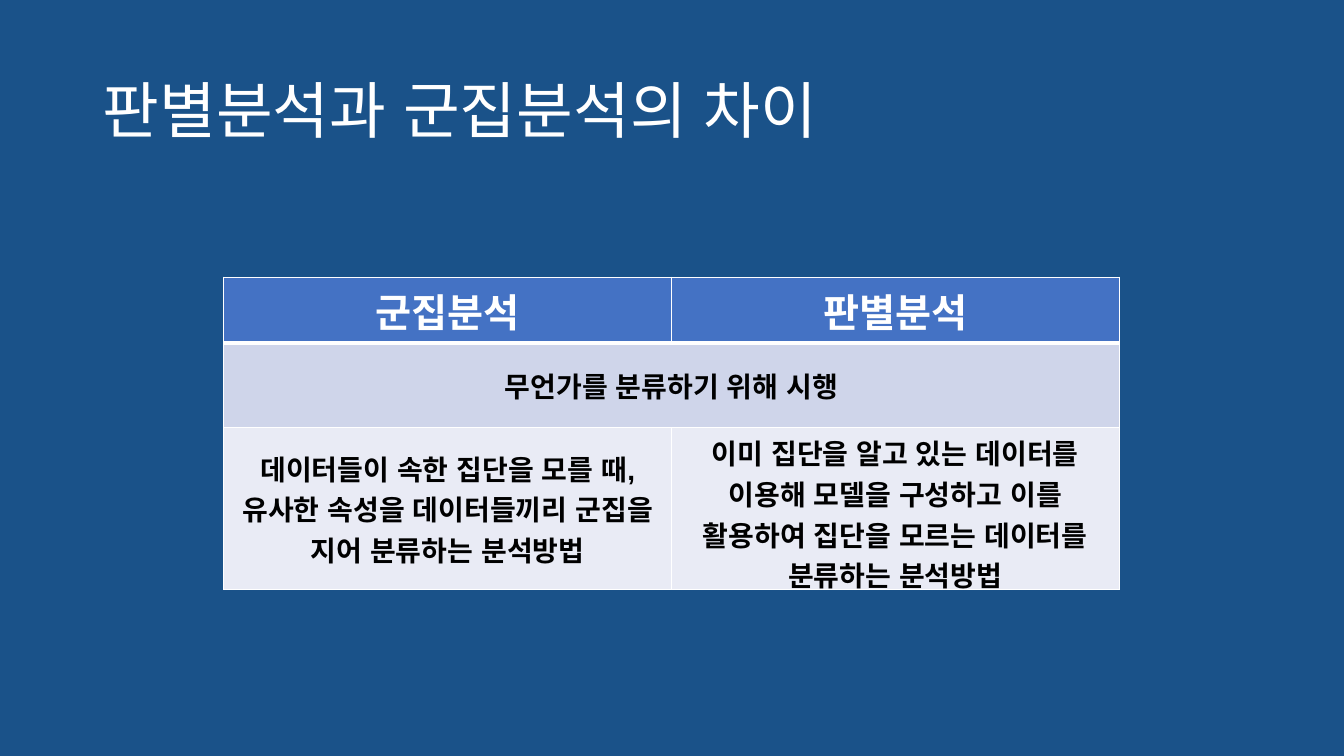
from dataclasses import dataclass
from lxml.etree import SubElement
from pptx import Presentation
from pptx.dml.color import RGBColor
from pptx.enum.lang import MSO_LANGUAGE_ID
from pptx.enum.text import MSO_ANCHOR, PP_ALIGN
from pptx.oxml.ns import qn
from pptx.util import Inches, Pt


@dataclass
class Theme:
    font: str = "Arial"
    back: str = "1A5289"
    white: str = "FFFFFF"
    black: str = "000000"
    blue: str = "4472C4"
    mid: str = "CFD5EA"
    pale: str = "E9EBF5"
    title: int = 44
    head: int = 28
    body: int = 20


theme = Theme()


def style(frame, size, color, bold=False):
    frame.word_wrap = True
    for run in frame.paragraphs[0].runs:
        font = run.font
        font.name = theme.font
        font.size = Pt(size)
        font.bold = bold
        font.color.rgb = RGBColor.from_string(color)
        font.language_id = MSO_LANGUAGE_ID.KOREAN


def border(cell, side, width):
    props = cell._tc.get_or_add_tcPr()
    line = SubElement(props, qn(f"a:ln{side}"), w=str(Pt(width)))
    fill = SubElement(line, qn("a:solidFill"))
    SubElement(fill, qn("a:srgbClr"), val=theme.white)


deck = Presentation()
deck.slide_width = Inches(13.33)
deck.slide_height = Inches(7.5)
slide = deck.slides.add_slide(deck.slide_layouts[6])
slide.background.fill.solid()
slide.background.fill.fore_color.rgb = RGBColor.from_string(theme.back)

title = slide.shapes.add_textbox(Inches(0.92), Inches(0.4), Inches(11.5), Inches(1.45))
frame = title.text_frame
frame.text = "판별분석과 군집분석의 차이"
frame.vertical_anchor = MSO_ANCHOR.MIDDLE
frame.paragraphs[0].line_spacing = 0.9
style(frame, theme.title, theme.white)

rows = [
    (0.65, theme.blue, theme.head, theme.white, ["군집분석", "판별분석"]),
    (0.84, theme.mid, theme.body, theme.black, ["무언가를 분류하기 위해 시행", ""]),
    (1.61, theme.pale, theme.body, theme.black, [
        "데이터들이 속한 집단을 모를 때, 유사한 속성을 데이터들끼리 군집을 지어 분류하는 분석방법",
        "이미 집단을 알고 있는 데이터를 이용해 모델을 구성하고 이를 활용하여 집단을 모르는 데이터를 분류하는 분석방법",
    ]),
]
table = slide.shapes.add_table(
    len(rows), 2, Inches(2.22), Inches(2.75), Inches(8.88), Inches(3.1)
).table
for r, (height, fill, size, color, texts) in enumerate(rows):
    table.rows[r].height = Inches(height)
    for c, text in enumerate(texts):
        cell = table.cell(r, c)
        cell.text = text
        cell.vertical_anchor = MSO_ANCHOR.MIDDLE
        cell.text_frame.paragraphs[0].alignment = PP_ALIGN.CENTER
        style(cell.text_frame, size, color, True)
        for side in "LRTB":
            heavy = (r, side) in [(0, "B"), (1, "T")]
            border(cell, side, 3 if heavy else 1)
        cell.fill.solid()
        cell.fill.fore_color.rgb = RGBColor.from_string(fill)
table.cell(1, 0).merge(table.cell(1, 1))

deck.save("out.pptx")
